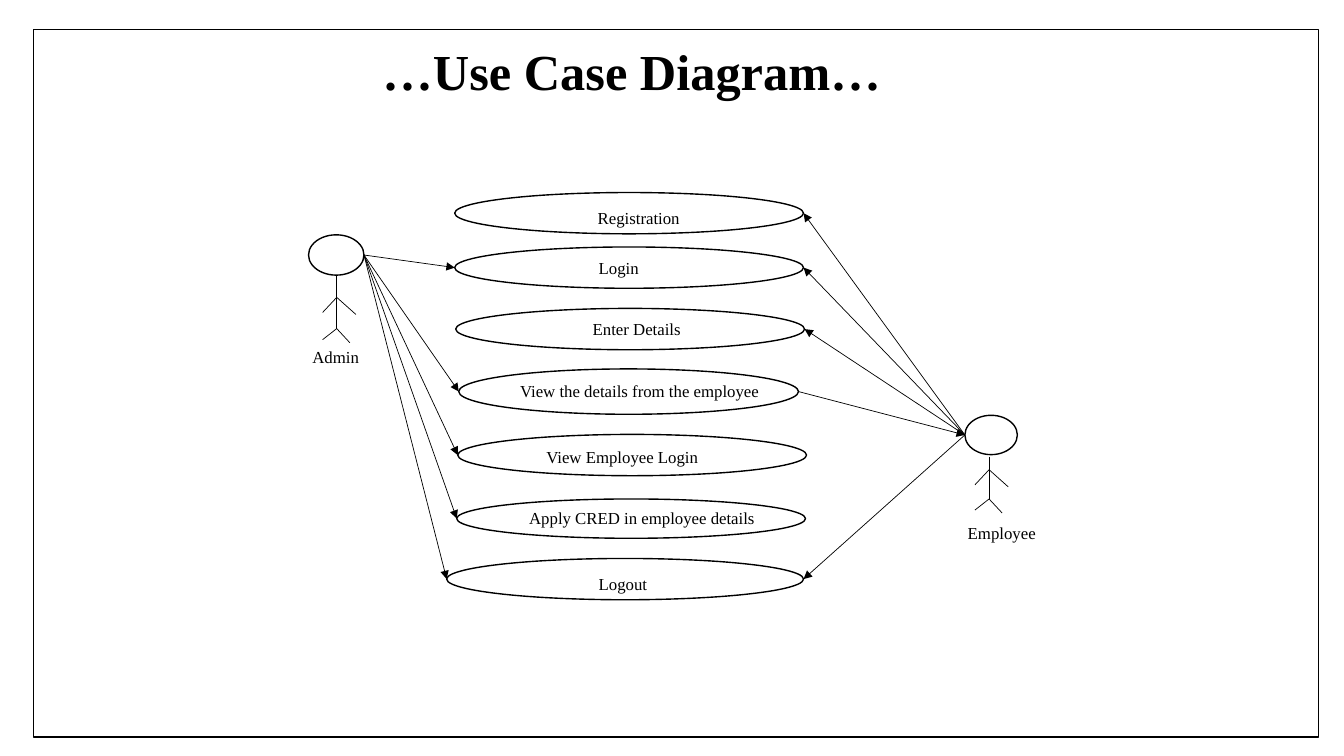
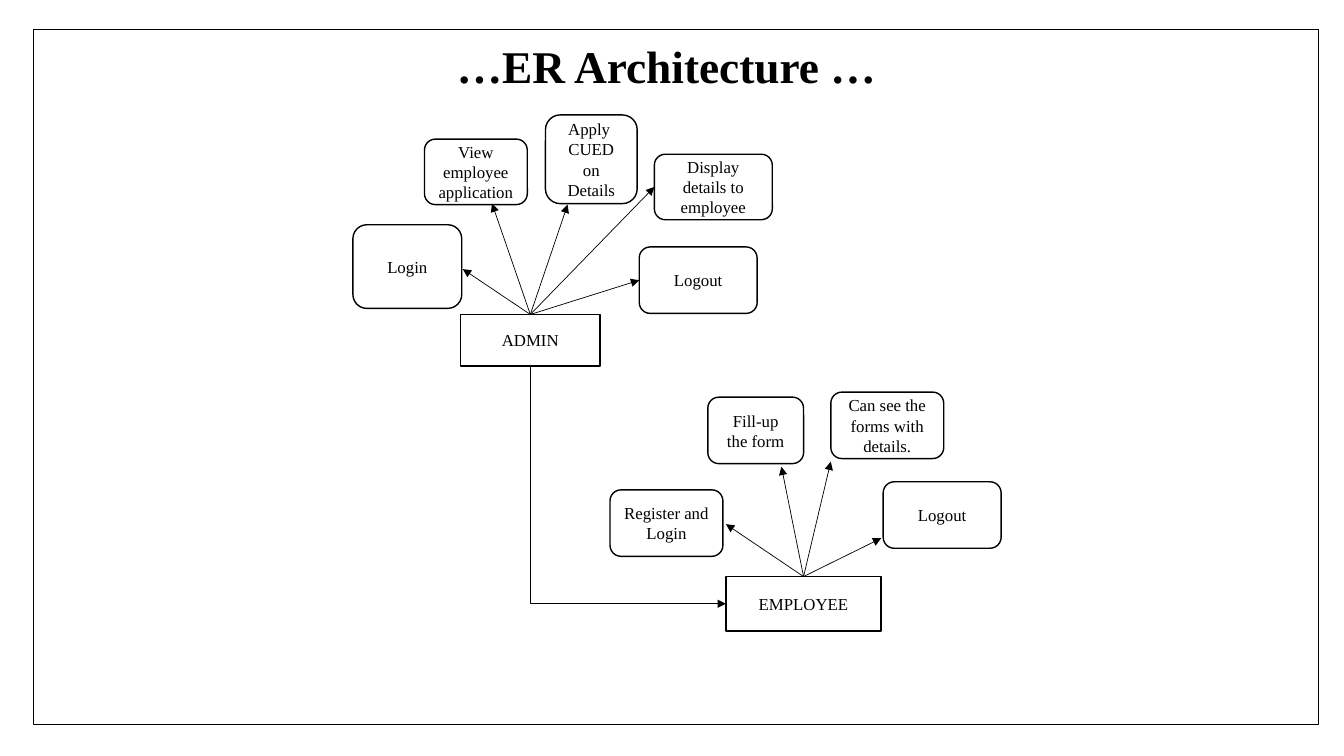
import pptx
import pptx.util
import pptx.dml.color
import pptx.enum.shapes
import pptx.enum.text
import pptx.oxml.ns
import lxml.etree

Inches = pptx.util.Inches
SHAPE = pptx.enum.shapes.MSO_SHAPE
CONNECTOR = pptx.enum.shapes.MSO_CONNECTOR
ALIGN = pptx.enum.text.PP_ALIGN
ANCHOR = pptx.enum.text.MSO_ANCHOR

BLACK = pptx.dml.color.RGBColor(0x00, 0x00, 0x00)
WHITE = pptx.dml.color.RGBColor(0xFF, 0xFF, 0xFF)
FONT = "Times New Roman"
TOP, LEFT = 0, 1  # connection sites of a rectangle
BOTTOM = 2

# Use cases: oval box, label box, label, joined to Admin, link with Employee
USE_CASES = [
    ((4.51, 1.91, 3.46, 0.41), (5.83, 2.01, 1.17, 0.26), "Registration", False, "to"),
    ((4.51, 2.45, 3.46, 0.41), (5.84, 2.51, 1.17, 0.26), "Login", True, "to"),
    ((4.52, 3.06, 3.46, 0.41), (5.78, 3.11, 1.17, 0.3), "Enter Details", False, "to"),
    ((4.55, 3.66, 3.37, 0.45), (5.06, 3.73, 2.67, 0.3),
     "View the details from the employee", True, "from"),
    ((4.54, 4.31, 3.46, 0.41), (5.32, 4.38, 1.97, 0.3), "View Employee Login", True, None),
    ((4.53, 4.95, 3.46, 0.39), (5.15, 4.99, 2.57, 0.3),
     "Apply CRED in employee details", True, None),
    ((4.43, 5.54, 3.54, 0.41), (5.84, 5.64, 0.93, 0.26), "Logout", True, "to"),
]

# Actions of an entity: box, text, arrow end (None joins the left side)
ADMIN_ACTIONS = [
    ((3.5, 2.23, 1.08, 0.83), "Login", (4.59, 2.67)),
    ((4.21, 1.38, 1.02, 0.65), "View employee application", (4.88, 2.02)),
    ((5.41, 1.14, 0.91, 0.88), "Apply \nCUED on\nDetails", (5.63, 2.03)),
    ((6.49, 1.53, 1.17, 0.65), "Display details to employee", None),
    ((6.34, 2.45, 1.17, 0.66), "Logout", None),
]
EMPLOYEE_ACTIONS = [
    ((6.05, 4.86, 1.12, 0.66), "Register and Login", (7.2, 5.2)),
    ((7.02, 3.94, 0.95, 0.66), "Fill-up the form", (7.75, 4.63)),
    ((8.24, 3.89, 1.12, 0.66), "Can see the forms with details.", (8.24, 4.58)),
    ((8.76, 4.78, 1.17, 0.66), "Logout", (8.74, 5.34)),
]


def inches(values):
    return [Inches(value) for value in values]


def left_middle(box):
    return box[0], box[1] + box[3] / 2


def right_middle(box):
    return box[0] + box[2], box[1] + box[3] / 2


def top_middle(box):
    return box[0] + box[2] / 2, box[1]


def write(shape, text, size=12, bold=False, align=ALIGN.LEFT, anchor=ANCHOR.TOP, spacing=None):
    frame = shape.text_frame
    frame.word_wrap = True
    frame.vertical_anchor = anchor
    frame.text = text
    for para in frame.paragraphs:
        para.alignment = align
        para.line_spacing = spacing
        for span in para.runs:
            span.font.name = FONT
            span.font.size = pptx.util.Pt(size)
            span.font.bold = bold
            span.font.color.rgb = BLACK


def add_label(slide, box, text, **style):
    write(slide.shapes.add_textbox(*inches(box)), text, **style)


def add_outline(slide, kind, box, text=None, filled=True):
    shape = slide.shapes.add_shape(kind, *inches(box))
    shape.shadow.inherit = False
    if filled:
        shape.fill.solid()
        shape.fill.fore_color.rgb = WHITE
    else:
        shape.fill.background()
    shape.line.color.rgb = BLACK
    shape.line.width = pptx.util.Pt(1)
    if text:
        write(shape, text, align=ALIGN.CENTER, anchor=ANCHOR.MIDDLE)
    return shape


def add_line(slide, start, end, arrow=False, kind=CONNECTOR.STRAIGHT):
    line = slide.shapes.add_connector(kind, *inches(start + end))
    line.line.color.rgb = BLACK
    line.line.width = pptx.util.Pt(0.5)
    if arrow:
        outline = line.line._get_or_add_ln()
        lxml.etree.SubElement(outline, pptx.oxml.ns.qn("a:tailEnd"), type="triangle")
    lxml.etree.SubElement(line._element.spPr, pptx.oxml.ns.qn("a:effectLst"))
    return line


def add_page(deck, title, title_box, title_size, frame_height):
    """Blank page with the shared title and frame."""
    slide = deck.slides.add_slide(deck.slide_layouts[6])
    add_label(slide, title_box, title, size=title_size, bold=True,
              align=ALIGN.CENTER, anchor=ANCHOR.MIDDLE, spacing=0.9)
    add_outline(slide, SHAPE.RECTANGLE, (0.33, 0.29, 12.75, frame_height), filled=False)
    return slide


def add_actor(slide, head, neck, shoulder, hip, label_box, name):
    """Stick figure: limbs hang from the shoulder and the hip."""
    spine = neck[0]
    add_outline(slide, SHAPE.OVAL, head)
    add_line(slide, neck, (spine, hip))
    for joint, across, down in [(shoulder, 0.19, 0.17), (shoulder, -0.14, 0.15),
                                (hip, 0.13, 0.14), (hip, -0.14, 0.11)]:
        add_line(slide, (spine, joint), (spine + across, joint + down))
    add_label(slide, label_box, name)


def add_entity(slide, box, name, actions):
    """Entity box with arrows fanning out to its actions."""
    entity = add_outline(slide, SHAPE.RECTANGLE, box, name)
    for action_box, text, end in actions:
        action = add_outline(slide, SHAPE.ROUNDED_RECTANGLE, action_box, text)
        arrow = add_line(slide, top_middle(box), end or left_middle(action_box), arrow=True)
        arrow.begin_connect(entity, TOP)
        if end is None:
            arrow.end_connect(action, LEFT)
    return entity


def add_down_right_arrow(slide, upper, lower):
    """One-bend arrow from the bottom of one box to the left of another."""
    arrow = add_line(slide, (0, 0), (1, 1), arrow=True, kind=CONNECTOR.ELBOW)
    arrow.begin_connect(upper, BOTTOM)
    arrow.end_connect(lower, LEFT)
    across, down = arrow.width, arrow.height
    middle_x, middle_y = arrow.left + across // 2, arrow.top + down // 2
    # The preset runs across then down, so it is turned and mirrored
    arrow.left, arrow.top = middle_x - down // 2, middle_y - across // 2
    arrow.width, arrow.height = down, across
    properties = arrow._element.spPr
    properties.find(pptx.oxml.ns.qn("a:prstGeom")).set("prst", "bentConnector2")
    turn = properties.find(pptx.oxml.ns.qn("a:xfrm"))
    turn.set("rot", "16200000")
    turn.set("flipH", "1")


def build_use_case_page(deck):
    slide = add_page(deck, "…Use Case Diagram…", (3.62, 0.28, 5.29, 0.92), 36, 7.02)

    # Actors
    admin_head = (3.06, 2.33, 0.55, 0.4)
    employee_head = (9.57, 4.12, 0.52, 0.39)
    add_actor(slide, admin_head, (3.34, 2.73), 2.95, 3.26, (3, 3.39, 1.17, 0.28), "Admin")
    add_actor(slide, employee_head, (9.81, 4.53), 4.66, 4.95,
              (9.5, 5.14, 1.17, 0.3), "Employee")

    # Use cases and their links
    admin, employee = right_middle(admin_head), left_middle(employee_head)
    for oval, label_box, label, for_admin, employee_link in USE_CASES:
        add_outline(slide, SHAPE.OVAL, oval)
        add_label(slide, label_box, label)
        if for_admin:
            add_line(slide, admin, left_middle(oval), arrow=True)
        if employee_link == "to":
            add_line(slide, employee, right_middle(oval), arrow=True)
        elif employee_link == "from":
            add_line(slide, right_middle(oval), employee, arrow=True)


def build_er_page(deck):
    slide = add_page(deck, "…ER Architecture …", (2.64, 0.32, 7.94, 0.72), 32.4, 6.9)
    admin = add_entity(slide, (4.57, 3.12, 1.38, 0.51), "ADMIN", ADMIN_ACTIONS)
    employee = add_entity(slide, (7.2, 5.72, 1.54, 0.54), "EMPLOYEE", EMPLOYEE_ACTIONS)
    add_down_right_arrow(slide, admin, employee)


def main():
    deck = pptx.Presentation()
    deck.slide_width, deck.slide_height = Inches(13.33), Inches(7.5)
    build_use_case_page(deck)
    build_er_page(deck)
    deck.save("out.pptx")


if __name__ == "__main__":
    main()
